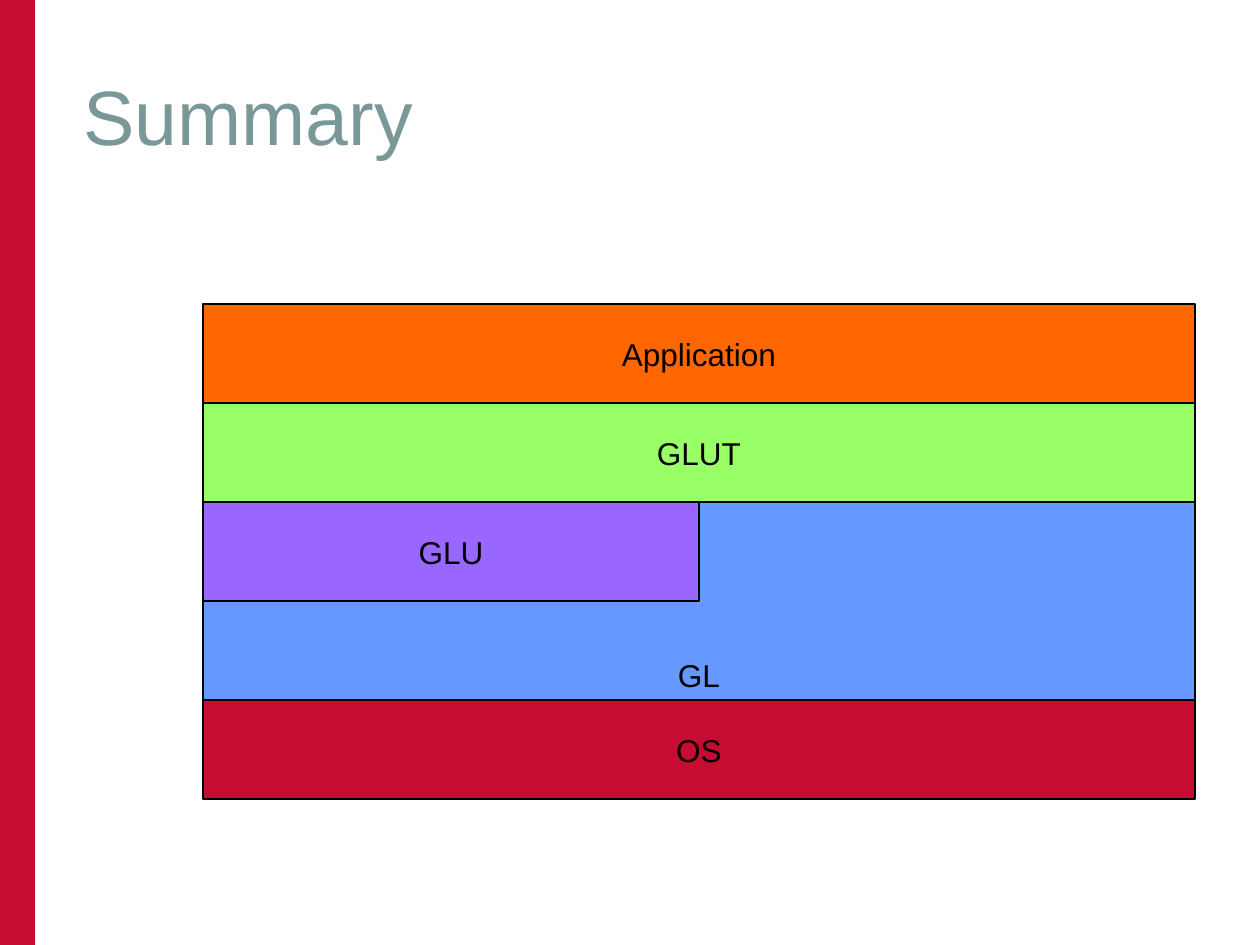
from pptx import Presentation
from pptx.dml.color import RGBColor
from pptx.enum.shapes import MSO_SHAPE
from pptx.enum.text import MSO_ANCHOR, PP_ALIGN
from pptx.util import Pt

RECTANGLE = MSO_SHAPE.RECTANGLE
LEFT, CENTER = PP_ALIGN.LEFT, PP_ALIGN.CENTER
TOP, MIDDLE, BOTTOM = MSO_ANCHOR.TOP, MSO_ANCHOR.MIDDLE, MSO_ANCHOR.BOTTOM

EMU_PER_PIXEL = 914400 / 126
SLIDE_WIDTH, SLIDE_HEIGHT = 1260, 945

RED = RGBColor(0xC6, 0x0C, 0x30)
BLUE = RGBColor(0x66, 0x99, 0xFF)
PURPLE = RGBColor(0x99, 0x66, 0xFF)
GREEN = RGBColor(0x99, 0xFF, 0x66)
ORANGE = RGBColor(0xFF, 0x66, 0x00)
TEAL = RGBColor(0x7B, 0x98, 0x99)
BLACK = RGBColor(0, 0, 0)

STACK_LEFT, STACK_TOP = 203, 304
STACK_WIDTH, ROW_HEIGHT = 992, 99

LAYERS = [
    ("OS", 4, 1, 1, RED, MIDDLE),
    ("GL", 2, 2, 1, BLUE, BOTTOM),
    ("GLU", 2, 1, 0.5, PURPLE, MIDDLE),
    ("GLUT", 1, 1, 1, GREEN, MIDDLE),
    ("Application", 0, 1, 1, ORANGE, MIDDLE),
]


def px(pixels):
    return round(pixels * EMU_PER_PIXEL)


def box(left, top, width, height):
    return px(left), px(top), px(width), px(height)


def write(frame, text, size=18, color=BLACK, align=CENTER, anchor=MIDDLE, wrap=False):
    frame.word_wrap = wrap
    frame.vertical_anchor = anchor
    paragraph = frame.paragraphs[0]
    paragraph.alignment = align
    run = paragraph.add_run()
    run.text = text
    run.font.name = "Arial"
    run.font.size = Pt(size)
    run.font.color.rgb = color


def add_block(slide, bounds, fill, outline=None):
    block = slide.shapes.add_shape(RECTANGLE, *box(*bounds))
    block.shadow.inherit = False
    block.fill.solid()
    block.fill.fore_color.rgb = fill
    if outline is None:
        block.line.fill.background()
    else:
        block.line.color.rgb = outline
        block.line.width = Pt(0.74)
    return block


def add_title(slide, text):
    title = slide.shapes.add_textbox(*box(71, 62, 1126, 203))
    write(title.text_frame, text, size=44, color=TEAL, align=LEFT, anchor=TOP, wrap=True)


def add_layer(slide, label, row, rows, share, fill, anchor):
    bounds = (STACK_LEFT, STACK_TOP + row * ROW_HEIGHT,
              round(STACK_WIDTH * share), rows * ROW_HEIGHT)
    layer = add_block(slide, bounds, fill, outline=BLACK)
    write(layer.text_frame, label, anchor=anchor)


def main():
    deck = Presentation()
    deck.slide_width, deck.slide_height = px(SLIDE_WIDTH), px(SLIDE_HEIGHT)
    slide = deck.slides.add_slide(deck.slide_layouts[6])
    add_block(slide, (0, 0, 35, SLIDE_HEIGHT), RED)
    add_title(slide, "Summary")
    for layer in LAYERS:
        add_layer(slide, *layer)
    deck.save("out.pptx")


main()
